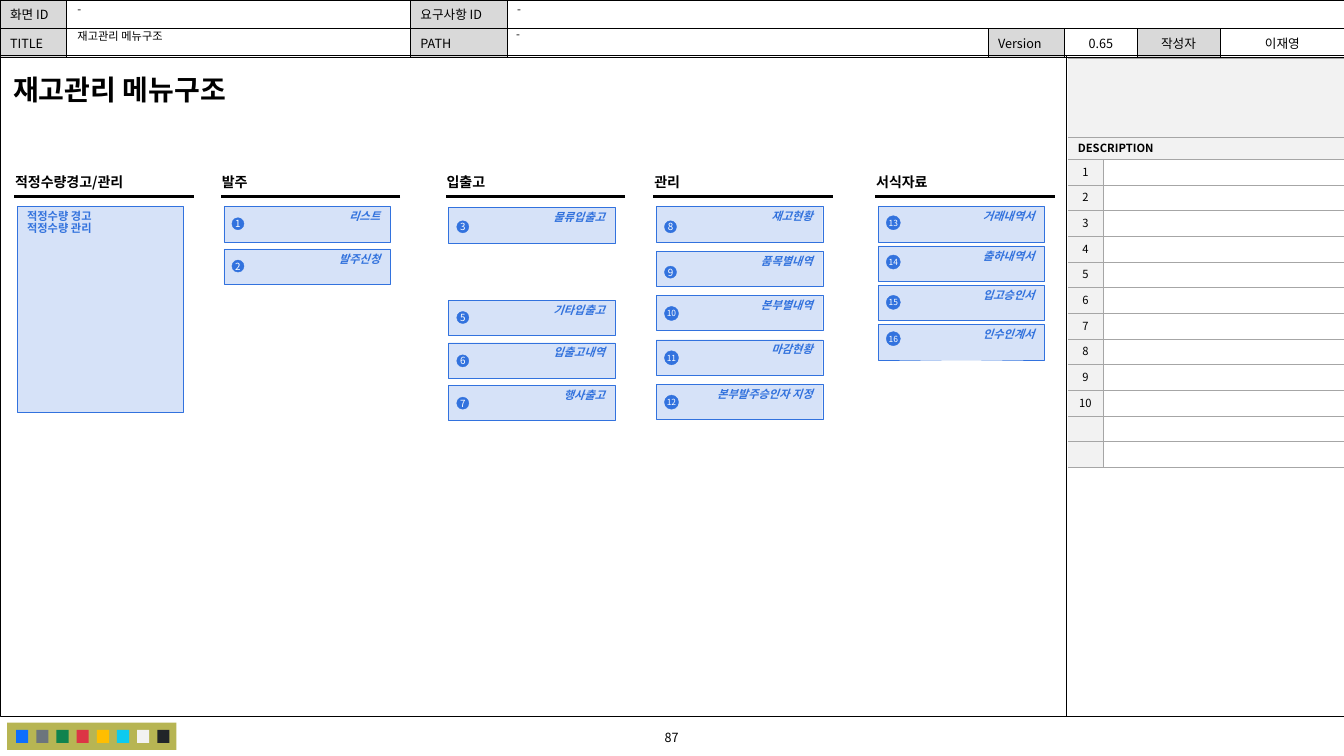
from lxml.etree import SubElement
from pptx import Presentation
from pptx.dml.color import RGBColor
from pptx.enum.shapes import MSO_CONNECTOR as CONN, MSO_SHAPE as SHAPE
from pptx.enum.text import MSO_ANCHOR as ANCHOR, PP_ALIGN as ALIGN
from pptx.oxml.ns import qn
from pptx.util import Inches, Pt

FONT = "Noto Sans CJK KR"
BLUE, LABEL, BLACK, WHITE = "3272DE", "3272DD", "000000", "FFFFFF"
HEAD, PALE, GRID = "D9D9D9", "F2F2F2", "A6A6A6"
W, H = 13.33, 7.5
TIGHT = 0.85  # line spacing
NO_STYLE = "{2D5ABB26-0587-4C30-8999-92F81FD0307C}"
PALETTE = ["0D6EFD", "6C757D", "10834E", "DC3545", "FFBE00", "0DCAF0", PALE, "212529"]

# Column: left, heading, groups of (top, pitch, [(number, label, badge drop)])
MENU = [
    (2.19, "발주", [(2.05, 0.42, [(1, "리스트", 0.11), (2, "발주신청", 0.11)])]),
    (4.42, "입출고", [
        (2.06, 0.42, [(3, "물류입출고", 0.13)]),
        (2.98, 0.42, [(5, "기타입출고", 0.11), (6, "입출고내역", 0.12),
                      (7, "행사출고", 0.12)])]),
    (6.48, "관리", [
        (2.05, 0.44, [(8, "재고현황", 0.14), (9, "품목별내역", 0.15),
                      (10, "본부별내역", 0.11), (11, "마감현황", 0.11),
                      (12, "본부발주승인자 지정", 0.11)])]),
    (8.68, "서식자료", [
        (2.05, 0.39, [(13, "거래내역서", 0.09), (14, "출하내역서", 0.09),
                      (15, "입고승인서", 0.1), (16, "인수인계서", 0.07)])]),
]


def rgb(code):
    return RGBColor.from_string(code)


def write(tf, text, size, color=BLACK, bold=False, italic=False, align=ALIGN.LEFT,
          spacing=None):
    tf.text = text
    for p in tf.paragraphs:
        p.alignment = align
        if spacing:
            p.line_spacing = spacing
        for r in p.runs:
            f = r.font
            f.name, f.size, f.bold, f.italic = FONT, Pt(size), bold, italic
            f.color.rgb = rgb(color)
            SubElement(r._r.get_or_add_rPr(), qn("a:ea"), typeface=FONT)
        if not p.runs:
            SubElement(p._p, qn("a:endParaRPr"), sz=str(size * 100))


def inset(part, x, y):
    part.margin_left = part.margin_right = Inches(x)
    part.margin_top = part.margin_bottom = Inches(y)


def add_text(s, box, text, size, margins=(0, 0), wrap=False, anchor=ANCHOR.TOP, **style):
    tf = s.shapes.add_textbox(*map(Inches, box)).text_frame
    tf.word_wrap, tf.vertical_anchor = wrap, anchor
    inset(tf, *margins)
    write(tf, text, size, **style)


def add_box(s, box, fill=None, line=None, alpha=None, kind=SHAPE.RECTANGLE):
    sp = s.shapes.add_shape(kind, *map(Inches, box))
    sp.shadow.inherit = False
    if fill:
        sp.fill.solid()
        sp.fill.fore_color.rgb = rgb(fill)
    else:
        sp.fill.background()
    if alpha:
        color = sp._element.spPr.find(qn("a:solidFill"))[0]
        SubElement(color, qn("a:alpha"), val=str(alpha * 1000))
    if line:
        sp.line.color.rgb = rgb(line)
        sp.line.width = Pt(0.25)
    else:
        sp.line.fill.background()
    return sp


def add_line(s, x1, y1, x2, y2, width):
    c = s.shapes.add_connector(CONN.STRAIGHT, *map(Inches, (x1, y1, x2, y2)))
    c.line.color.rgb, c.line.width = rgb(BLACK), Pt(width)
    SubElement(c._element.spPr, qn("a:effectLst"))


def make_table(s, x, y, cols, rows):
    frame = s.shapes.add_table(len(rows), len(cols), *map(Inches, (x, y, sum(cols), sum(rows))))
    t = frame.table
    t.first_row = t.horz_banding = False
    t._tbl.tblPr.find(qn("a:tableStyleId")).text = NO_STYLE
    for col, width in zip(t.columns, cols):
        col.width = Inches(width)
    for row, height in zip(t.rows, rows):
        row.height = Inches(height)
    return t


def style_cell(cell, sides, color, fill=None):
    tcPr = cell._tc.get_or_add_tcPr()
    for side in sides:  # borders precede the fill
        ln = SubElement(tcPr, qn("a:ln" + side), w=str(Pt(0.5)))
        SubElement(SubElement(ln, qn("a:solidFill")), qn("a:srgbClr"), val=color)
    if fill:
        cell.fill.solid()
        cell.fill.fore_color.rgb = rgb(fill)
    else:
        cell.fill.background()


def header(s):
    cols = [0.66, 3.41, 0.96, 4.77, 0.76, 0.72, 0.82, 1.24]
    rows = [["화면 ID", "", "요구사항 ID", "", "", "", "", ""],
            ["TITLE", "", "PATH", "", "Version", "0.65", "작성자", "이재영"]]
    t = make_table(s, 0, 0, cols, [0.28] * 2)
    for i, row in enumerate(rows):
        for j, text in enumerate(row):
            cell = t.cell(i, j)
            shaded = text and j in (0, 2, 4, 6)
            style_cell(cell, "LRTB", BLACK, HEAD if shaded else WHITE)
            write(cell.text_frame, text, 9, align=ALIGN.CENTER if j > 4 else ALIGN.LEFT)
    t.cell(0, 3).merge(t.cell(0, 7))


def header_values(s):
    values = [(5.03, 0.01, 8.29, "-"), (0.67, 0.01, 3.4, "-"),
              (0.67, 0.28, 3.38, "재고관리 메뉴구조"), (5.02, 0.26, 4.74, "-")]
    for x, y, w, text in values:
        add_text(s, (x, y, w, 0.23), text, 8, (0.1, 0.03), wrap=True, spacing=TIGHT)


def frame_and_footer(s):
    add_box(s, (0, 0.55, W, 6.56), line=BLACK)
    add_text(s, (5.37, 7.19, 2.58, 0.25), "87", 9, wrap=True,
             anchor=ANCHOR.MIDDLE, align=ALIGN.CENTER)
    add_line(s, 10.58, 0.56, 10.58, 7.11, 0.5)
    # Colour palette
    add_box(s, (0.07, 7.17, 1.68, 0.27), "B7B553")
    for i, color in enumerate(PALETTE):
        add_box(s, (0.16 + 0.2 * i, 7.24, 0.12, 0.13), color)


def description(s, x, y):
    t = make_table(s, x, y, [0.35, 2.39], [0.78, 0.22] + [0.255] * 12)
    for i in range(14):
        left, right = t.cell(i, 0), t.cell(i, 1)
        wide = i < 2
        style_cell(left, "TB" if wide else "RTB", GRID, PALE)
        style_cell(right, "TB" if wide else "LTB", GRID, PALE if wide else None)
        text = "DESCRIPTION" if i == 1 else str(i - 1) if 2 <= i < 12 else ""
        for cell, words in ((left, text), (right, "")):
            cell.vertical_anchor = ANCHOR.MIDDLE
            inset(cell, 0.1 if wide else 0, 0.04 if wide else 0)
            write(cell.text_frame, words, 8, bold=wide, spacing=TIGHT,
                  align=ALIGN.LEFT if wide else ALIGN.CENTER)
        if wide:
            left.merge(right)


def column_heading(s, x, title):
    add_text(s, (x + 0.01, 1.75, 1.18, 0.17), title, 10, bold=True, spacing=TIGHT)
    add_line(s, x + 1.78, 1.95, x, 1.95, 2.25)


def menu_box(s, x, y, h, text, **style):
    tf = add_box(s, (x + 0.03, y, 1.65, h), BLUE, BLUE, alpha=20).text_frame
    tf.vertical_anchor = ANCHOR.TOP
    write(tf, text, 8, LABEL, bold=True, spacing=TIGHT, **style)


def badge(s, x, y, number):
    d, size = (0.12, 7) if number < 10 else (0.14, 6)
    tf = add_box(s, (x, y, d, d), BLUE, BLUE, kind=SHAPE.OVAL).text_frame
    tf.word_wrap, tf.vertical_anchor = False, ANCHOR.MIDDLE
    inset(tf, 0, 0)
    write(tf, str(number), size, WHITE, align=ALIGN.CENTER)


def menu_column(s, x, title, groups):
    column_heading(s, x, title)
    for top, pitch, items in groups:
        for i, (number, label, drop) in enumerate(items):
            y = top + pitch * i
            menu_box(s, x, y, 0.35, label, italic=True, align=ALIGN.RIGHT)
            badge(s, x + 0.11, y + drop, number)


def main():
    prs = Presentation()
    prs.slide_width, prs.slide_height = Inches(W), Inches(H)
    s = prs.slides.add_slide(prs.slide_layouts[6])
    header(s)
    frame_and_footer(s)
    header_values(s)
    description(s, 10.59, 0.58)
    # Menu structure
    add_text(s, (0.13, 0.77, 2.34, 0.34), "재고관리 메뉴구조", 20, bold=True, spacing=TIGHT)
    column_heading(s, 0.14, "적정수량경고/관리")
    menu_box(s, 0.14, 2.05, 2.04, "적정수량 경고\n적정수량 관리")
    for column in MENU:
        menu_column(s, *column)
    prs.save("out.pptx")


if __name__ == "__main__":
    main()
